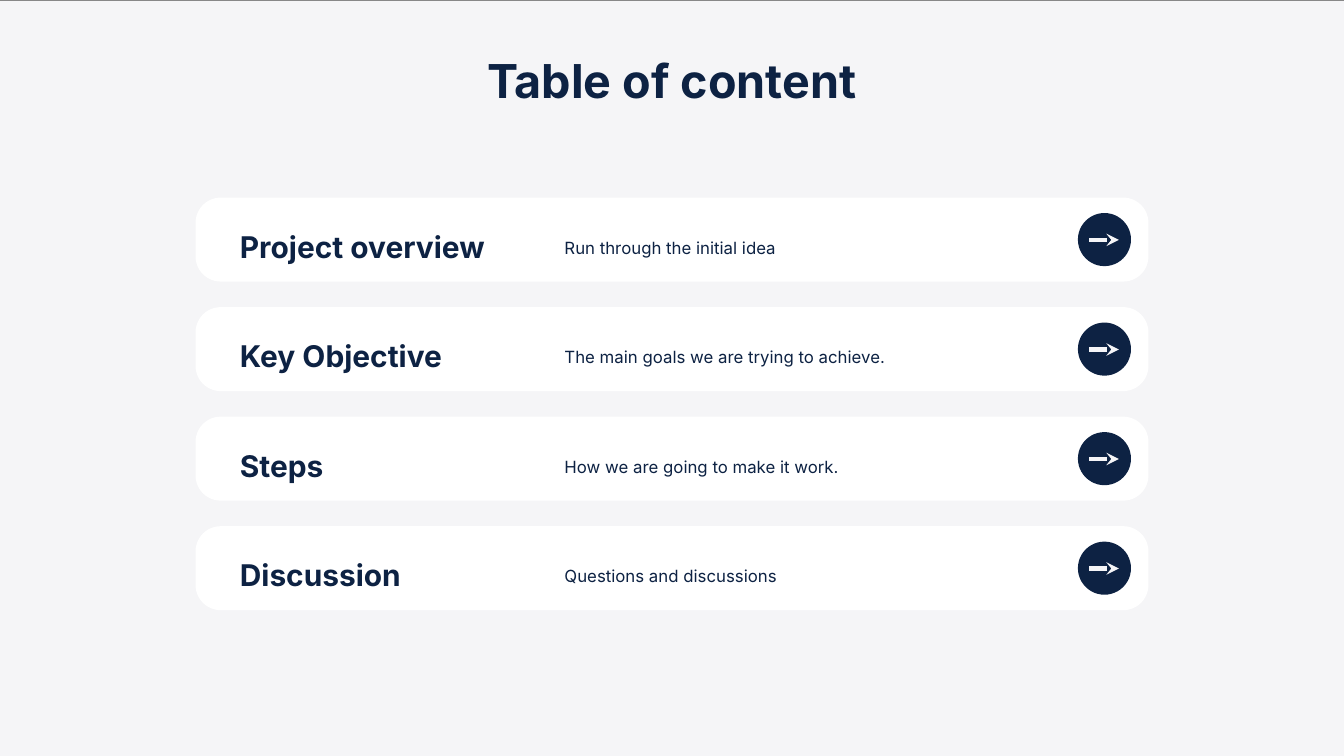
"""Build a table of content slide with four rounded rows."""
from lxml.etree import SubElement
from pptx import Presentation
from pptx.dml.color import RGBColor
from pptx.enum.shapes import MSO_CONNECTOR, MSO_SHAPE
from pptx.enum.text import PP_ALIGN
from pptx.oxml.ns import qn
from pptx.util import Inches, Pt

NAVY, PALE, WHITE, GREY = "0D2243", "F5F5F7", "FFFFFF", "888888"

prs = Presentation()
prs.slide_width, prs.slide_height = Inches(20), Inches(11.25)
U = prs.slide_width / 200
s = prs.slides.add_slide(prs.slide_layouts[6])


def paint(fill, color):
    fill.solid()
    fill.fore_color.rgb = RGBColor.from_string(color)


def text(content, x, y, w, h, size, font="Inter", color=NAVY, bold=False,
         spacing=1.2, align=PP_ALIGN.LEFT):
    tf = s.shapes.add_textbox(*(round(v * U) for v in (x, y, w, h))).text_frame
    tf.margin_left = tf.margin_right = tf.margin_top = tf.margin_bottom = 0
    tf.word_wrap = True
    p = tf.paragraphs[0]
    p.alignment, p.line_spacing = align, spacing
    r = p.add_run()
    r.text = content
    r.font.name, r.font.size, r.font.bold = font, Pt(size), bold
    paint(r.font.fill, color)


paint(s.background.fill, PALE)
sp = s.shapes.add_shape(MSO_SHAPE.RECTANGLE, round(-2.2 * U), 0,
                        round(202.7 * U), prs.slide_height)
sp.shadow.inherit = False
paint(sp.fill, PALE)
paint(sp.line.fill, GREY)
sp.line.width = Pt(0.75)

text("Table of content", 72.1, 9.3, 55.8, 6.3, 50, bold=True,
     spacing=0.8, align=PP_ALIGN.CENTER)

rows = [
    ("Project overview", "Run through the initial idea"),
    ("Key Objective", "The main goals we are trying to achieve."),
    ("Steps", "How we are going to make it work."),
    ("Discussion", "Questions and discussions"),
]
for i, (heading, detail) in enumerate(rows):
    top = 29.4 + 16.3 * i
    for kind, x, y, w, h, color in (
        (MSO_SHAPE.ROUNDED_RECTANGLE, 29.1, top, 141.8, 12.5, WHITE),
        (MSO_SHAPE.OVAL, 160.4, top + 2.3, 7.9, 7.9, NAVY),
    ):
        sp = s.shapes.add_shape(kind, *(round(v * U) for v in (x, y, w, h)))
        sp.shadow.inherit = False
        paint(sp.fill, color)
        sp.line.fill.background()
        if kind == MSO_SHAPE.ROUNDED_RECTANGLE:
            sp.adjustments[0] = 0.3
    text(heading, 35.7, top + 3.5, 38, 6.5, 32, bold=True)
    text(detail, 84, top + 4.75, 52.1, 4.2, 18, spacing=1.4)
    middle = round((top + 6.3) * U)
    arrow = s.shapes.add_connector(MSO_CONNECTOR.STRAIGHT, round(162.1 * U), middle,
                                   round(166.5 * U), middle)
    paint(arrow.line.fill, PALE)
    arrow.line.width = Pt(4.5)
    SubElement(arrow.line._get_or_add_ln(), qn("a:tailEnd"), type="stealth")
    SubElement(arrow._element.spPr, qn("a:effectLst"))

prs.save("out.pptx")
